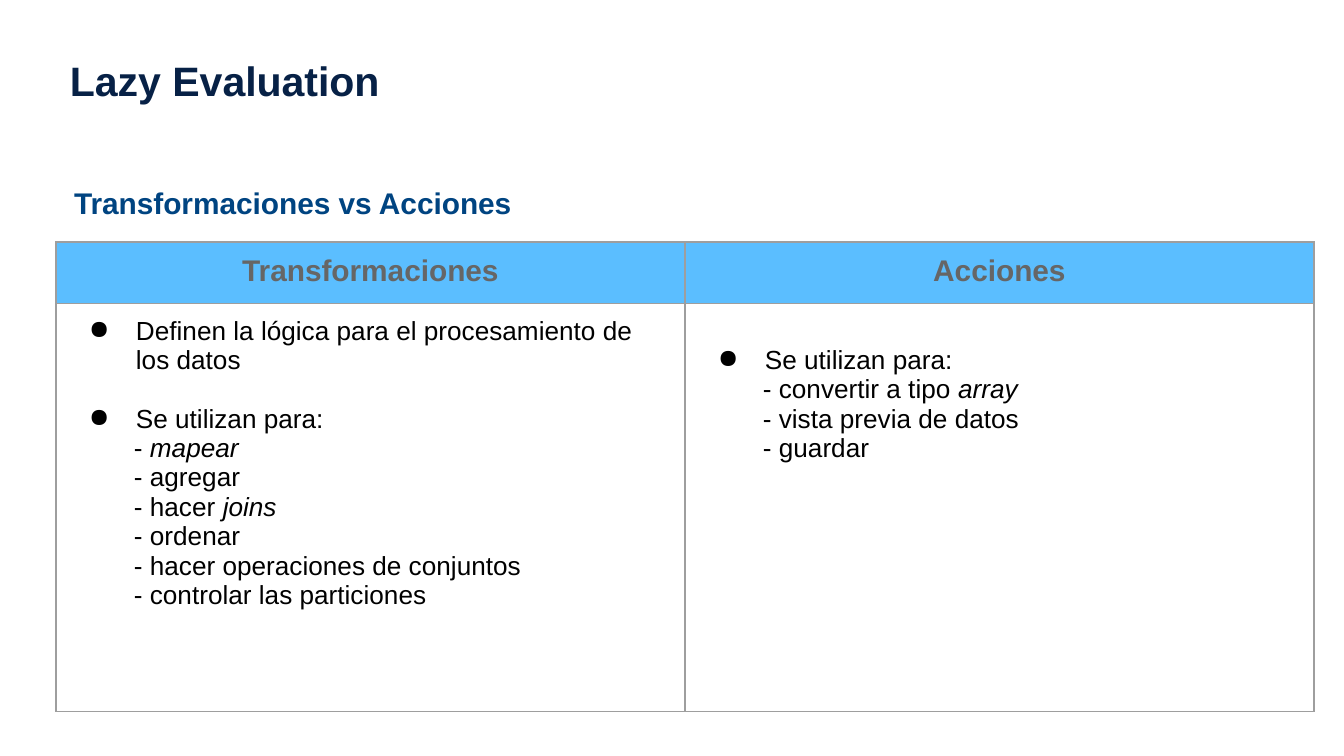
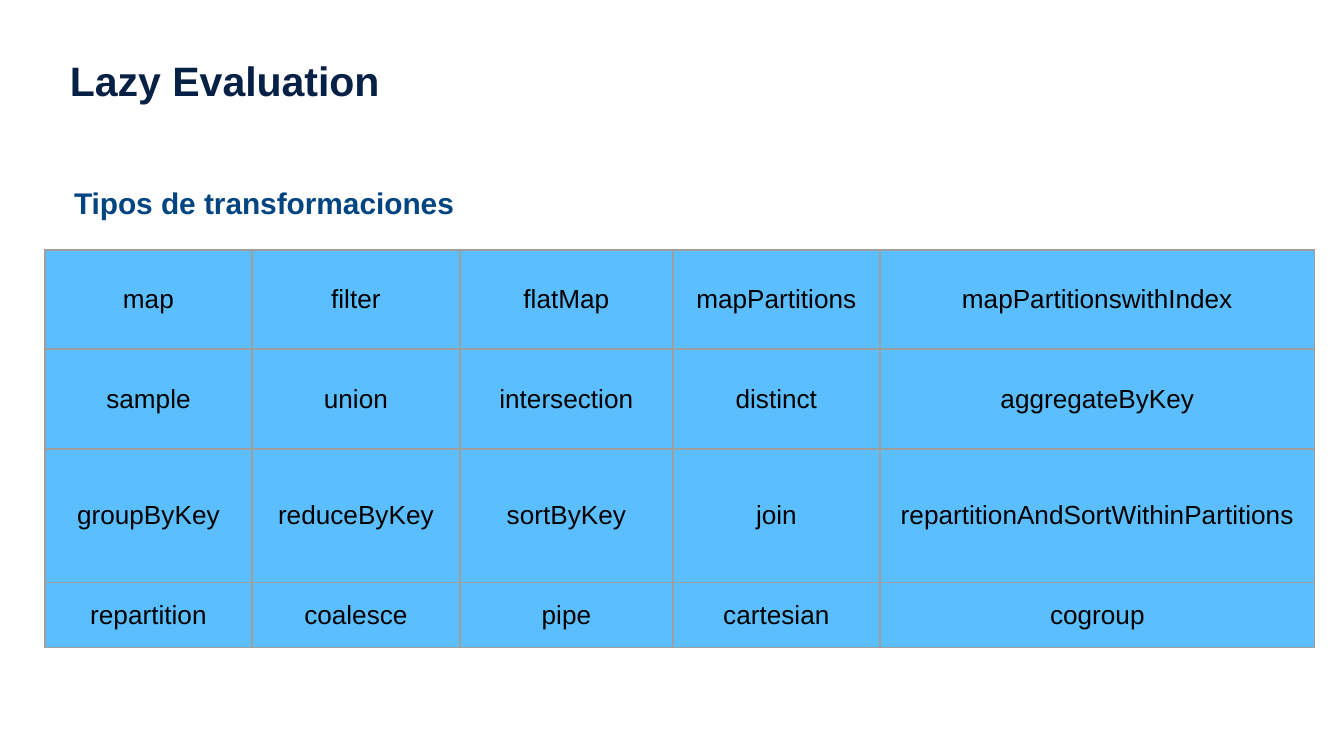
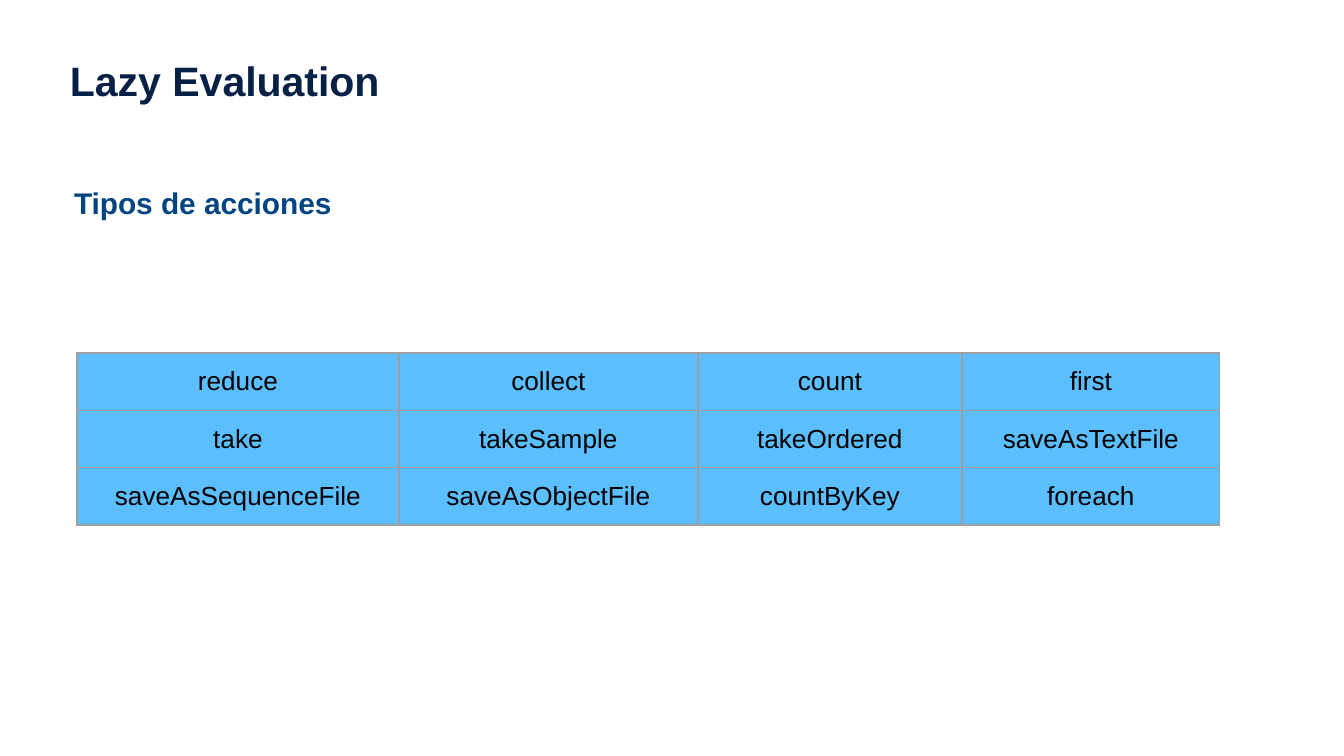
from dataclasses import dataclass
from typing import Optional

from lxml import etree
from pptx import Presentation
from pptx.dml.color import RGBColor
from pptx.enum.text import MSO_ANCHOR, PP_ALIGN
from pptx.oxml.ns import qn
from pptx.util import Pt

EMU_PER_PX = 914400 / 134.4
SLIDE_WIDTH, SLIDE_HEIGHT = 1344, 756
INSET = 13
LINE_HEIGHT = 29
FONT = "Arial"
BODY_SIZE, SUBTITLE_SIZE, TITLE_SIZE = 14, 16, 22
BORDER_WIDTH = Pt(0.75)

NAVY = RGBColor(0x07, 0x21, 0x46)
BLUE = RGBColor(0x00, 0x44, 0x81)
SKY = RGBColor(0x5B, 0xBE, 0xFF)
GRAY = RGBColor(0x66, 0x66, 0x66)
BORDER_GRAY = RGBColor(0x9E, 0x9E, 0x9E)
BLACK = RGBColor(0x00, 0x00, 0x00)

LEFT, CENTER = PP_ALIGN.LEFT, PP_ALIGN.CENTER
TOP, MIDDLE = MSO_ANCHOR.TOP, MSO_ANCHOR.MIDDLE


@dataclass(frozen=True)
class Line:
    text: str
    emphasis: str = ""
    bullet: Optional[str] = None
    margin: int = 0
    indent: int = 0
    space_before: int = 0


@dataclass(frozen=True)
class Grid:
    left: int
    top: int
    columns: list[int]
    rows: list[int]


def px(length: int) -> int:
    return round(length * EMU_PER_PX)


def point(text: str, space_before: int = 0) -> Line:
    return Line(text, bullet="●", margin=67, indent=-47, space_before=space_before)


def dash(text: str, emphasis: str = "") -> Line:
    return Line(f"- {text}", emphasis, margin=65)


TRANSFORMATION_NOTES = [
    point("Definen la lógica para el procesamiento de los datos"),
    point("Se utilizan para:", space_before=LINE_HEIGHT),
    dash("", "mapear"),
    dash("agregar"),
    dash("hacer ", "joins"),
    dash("ordenar"),
    dash("hacer operaciones de conjuntos"),
    dash("controlar las particiones"),
]
ACTION_NOTES = [
    point("Se utilizan para:"),
    dash("convertir a tipo ", "array"),
    dash("vista previa de datos"),
    dash("guardar"),
]
COMPARISON_GRID = Grid(56, 242, [629, 629], [60, 408])

TRANSFORMATIONS = [
    ["map", "filter", "flatMap", "mapPartitions", "mapPartitionswithIndex"],
    ["sample", "union", "intersection", "distinct", "aggregateByKey"],
    ["groupByKey", "reduceByKey", "sortByKey", "join", "repartitionAndSortWithinPartitions"],
    ["repartition", "coalesce", "pipe", "cartesian", "cogroup"],
]
TRANSFORMATION_GRID = Grid(45, 250, [207, 208, 213, 207, 435], [99, 100, 134, 65])

ACTIONS = [
    ["reduce", "collect", "count", "first"],
    ["take", "takeSample", "takeOrdered", "saveAsTextFile"],
    ["saveAsSequenceFile", "saveAsObjectFile", "countByKey", "foreach"],
]
ACTION_GRID = Grid(77, 353, [322, 299, 264, 258], [56] * 3)


def write_text(text_frame, lines: list[Line], *, size: int = BODY_SIZE,
               color: RGBColor = BLACK, bold: bool = False, align: PP_ALIGN = LEFT) -> None:
    text_frame.word_wrap = True
    for index, line in enumerate(lines):
        paragraph = text_frame.add_paragraph() if index else text_frame.paragraphs[0]
        paragraph.alignment = align
        paragraph.space_before = px(line.space_before)
        properties = paragraph._p.get_or_add_pPr()
        properties.set("marL", str(px(line.margin)))
        properties.set("indent", str(px(line.indent)))
        if line.bullet:
            etree.SubElement(properties, qn("a:buChar"), char=line.bullet)
        else:
            etree.SubElement(properties, qn("a:buNone"))
        for text, italic in ((line.text, False), (line.emphasis, True)):
            if text:
                run = paragraph.add_run()
                run.text = text
                run.font.name = FONT
                run.font.size = Pt(size)
                run.font.bold = bold
                run.font.italic = italic
                run.font.color.rgb = color


def add_label(slide, text: str, left: int, top: int, width: int, height: int, *,
              size: int, color: RGBColor, anchor: MSO_ANCHOR) -> None:
    text_frame = slide.shapes.add_textbox(px(left), px(top), px(width), px(height)).text_frame
    text_frame.margin_left = text_frame.margin_right = px(INSET)
    text_frame.margin_top = text_frame.margin_bottom = px(INSET)
    text_frame.vertical_anchor = anchor
    write_text(text_frame, [Line(text)], size=size, color=color, bold=True)


def add_content_slide(presentation, subtitle: str):
    slide = presentation.slides.add_slide(presentation.slide_layouts[6])
    add_label(slide, "Lazy Evaluation", 57, 40, 941, 80,
              size=TITLE_SIZE, color=NAVY, anchor=MIDDLE)
    add_label(slide, subtitle, 61, 172, 684, 26,
              size=SUBTITLE_SIZE, color=BLUE, anchor=TOP)
    return slide


def style_cell(cell, *, fill: Optional[RGBColor], anchor: MSO_ANCHOR) -> None:
    cell.margin_left = cell.margin_right = px(INSET)
    cell.margin_top = cell.margin_bottom = px(INSET)
    cell.vertical_anchor = anchor
    properties = cell._tc.get_or_add_tcPr()
    for side in ("lnL", "lnR", "lnT", "lnB"):
        border = etree.SubElement(properties, qn(f"a:{side}"), w=str(BORDER_WIDTH))
        solid = etree.SubElement(border, qn("a:solidFill"))
        etree.SubElement(solid, qn("a:srgbClr"), val=str(BORDER_GRAY))
    if fill is None:
        cell.fill.background()
    else:
        cell.fill.solid()
        cell.fill.fore_color.rgb = fill


def add_grid(slide, grid: Grid):
    table = slide.shapes.add_table(
        len(grid.rows), len(grid.columns), px(grid.left), px(grid.top),
        px(sum(grid.columns)), px(sum(grid.rows))).table
    table.first_row = table.horz_banding = False
    for column, width in zip(table.columns, grid.columns):
        column.width = px(width)
    for row, height in zip(table.rows, grid.rows):
        row.height = px(height)
    return table


def add_name_table(slide, grid: Grid, names: list[list[str]]) -> None:
    table = add_grid(slide, grid)
    for row, row_names in zip(table.rows, names):
        for cell, name in zip(row.cells, row_names):
            style_cell(cell, fill=SKY, anchor=MIDDLE)
            write_text(cell.text_frame, [Line(name)], align=CENTER)


def add_comparison_table(slide) -> None:
    table = add_grid(slide, COMPARISON_GRID)
    columns = [("Transformaciones", TRANSFORMATION_NOTES), ("Acciones", ACTION_NOTES)]
    for index, (heading, notes) in enumerate(columns):
        header, body = table.cell(0, index), table.cell(1, index)
        style_cell(header, fill=SKY, anchor=TOP)
        write_text(header.text_frame, [Line(heading)], size=SUBTITLE_SIZE,
                   color=GRAY, bold=True, align=CENTER)
        style_cell(body, fill=None, anchor=TOP)
        write_text(body.text_frame, notes)
    table.cell(1, 1).margin_top = px(INSET + LINE_HEIGHT)


def main() -> None:
    presentation = Presentation()
    presentation.slide_width = px(SLIDE_WIDTH)
    presentation.slide_height = px(SLIDE_HEIGHT)
    add_comparison_table(add_content_slide(presentation, "Transformaciones vs Acciones"))
    add_name_table(add_content_slide(presentation, "Tipos de transformaciones"),
                   TRANSFORMATION_GRID, TRANSFORMATIONS)
    add_name_table(add_content_slide(presentation, "Tipos de acciones"), ACTION_GRID, ACTIONS)
    presentation.save("out.pptx")


if __name__ == "__main__":
    main()
